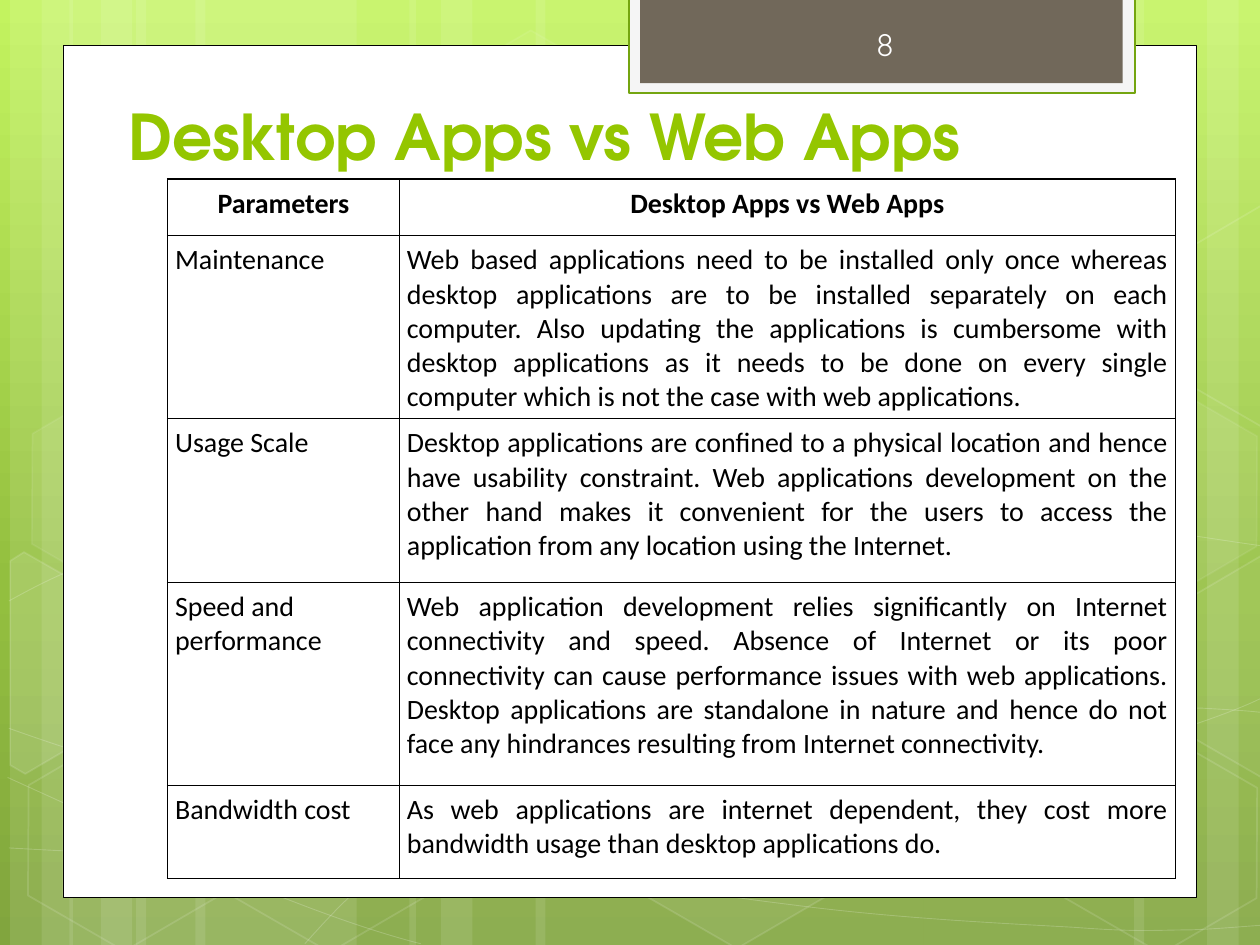
from copy import deepcopy
from dataclasses import dataclass
from math import cos, radians, sin

from lxml.etree import SubElement
from pptx import Presentation
from pptx.dml.color import RGBColor
from pptx.enum.shapes import MSO_SHAPE as Shape
from pptx.enum.text import MSO_ANCHOR as Anchor, PP_ALIGN as Align
from pptx.oxml.ns import qn
from pptx.util import Inches, Pt


@dataclass(frozen=True)
class Theme:
    white: str = "FFFFFF"
    black: str = "000000"
    green: str = "94C600"
    tab_edge: str = "F5F5F5"
    tab_line: str = "74A510"
    tab_fill: str = "71685A"
    backdrop: tuple = ((0, "C3F35F"), (0.62, "93BF3F"), (1, "81A53E"))
    title_font: str = "TeX Gyre Adventor"
    body_font: str = "Calibri"
    number_font: str = "Quicksand"
    title_size: int = 36
    body_size: int = 16
    number_size: int = 18


T = Theme()
TILT = 30

# Vertical light bands: left, width, rotation
BANDS = [(1.08, 1.75, 0), (0.08, 0.5, 0), (0.33, 0.83, 0), (1.55, 1.75, 0),
         (0.55, 0.5, 0), (0.8, 0.83, 0), (7.33, 1.75, 180), (9.58, 0.5, 180),
         (9, 0.83, 180), (4.25, 3.08, 0), (3.25, 0.5, 0), (3.5, 0.83, 0)]

# Curves: segment kinds (C takes three points, L one), then the points
CURVES = [
    ("CCCC", [(0.07, 6.73), (0.61, 6.76), (1.15, 6.79), (1.9, 6.78), (2.65, 6.77),
              (3.58, 6.75), (4.58, 6.65), (5.58, 6.55), (7, 6.36), (7.92, 6.17),
              (8.83, 5.98), (9.77, 5.68), (10.07, 5.51)]),
    ("CCCC", [(0.07, 4.77), (0.36, 4.61), (0.65, 4.46), (1.21, 4.31), (1.78, 4.16),
              (2.59, 3.94), (3.47, 3.87), (4.36, 3.8), (5.44, 3.79), (6.54, 3.87),
              (7.64, 3.95), (9.47, 4.26), (10.07, 4.34)]),
    ("C", [(0.06, 6.17), (1.27, 6.72), (2.47, 7.27), (3.34, 7.49)]),
    ("CCCCCC", [(0.07, 5.78), (0.38, 5.89), (0.7, 6), (1.28, 6.16), (1.86, 6.31),
                (2.73, 6.56), (3.57, 6.73), (4.4, 6.9), (5.45, 7.08), (6.28, 7.18),
                (7.11, 7.29), (8, 7.33), (8.53, 7.36), (9.05, 7.4), (9.19, 7.38),
                (9.45, 7.38), (9.71, 7.37), (9.89, 7.35), (10.07, 7.34)]),
    ("CCCCCCCLCC", [(2.42, 7.49), (2.6, 7.29), (2.78, 7.09), (3.02, 6.91), (3.26, 6.73),
                    (3.6, 6.53), (3.88, 6.39), (4.16, 6.25), (4.33, 6.19), (4.7, 6.09),
                    (5.06, 5.99), (5.73, 5.85), (6.08, 5.78), (6.44, 5.71), (6.49, 5.71),
                    (6.8, 5.69), (7.11, 5.66), (7.6, 5.63), (7.94, 5.62), (8.29, 5.61),
                    (8.86, 5.62), (8.86, 5.62), (9.53, 5.62), (9.71, 5.63), (9.88, 5.64),
                    (9.97, 5.65), (10.06, 5.66), (10.03, 5.65), (10.06, 5.66)]),
]

# Hexagons: left, top, fill opacity, line opacity (percent)
HEXAGONS = [(3.34, 0.36, 4, 8), (4.97, 5.89, 6, 12), (0.11, 5.91, 0, 12),
            (0.14, 3.12, 7, 8), (1.74, 5.92, 0, 12), (7.53, 4.53, 10, 12),
            (8.34, 5.93, 0, 12), (8.34, 3.14, 7, 8)]

# Hexagons cut by the slide edge: fill opacity, centre, corners
CUT_HEXAGONS = [
    (10, (0.36, 5.35), [(0.08, 4.45), (0.19, 4.38), (0.96, 4.82), (0.95, 5.7), (0.2, 6.14), (0.08, 6.07)]),
    (4, (9.85, 5.2), [(9.26, 4.85), (10.01, 4.41), (10.09, 4.46), (10.09, 6.13), (10.02, 6.17), (9.26, 5.73)]),
    (0, (9.85, 2.41), [(9.26, 2.07), (10.01, 1.63), (10.1, 1.68), (10.09, 3.35), (10.02, 3.39), (9.26, 2.95)]),
]

ROWS = [
    ("Parameters", "Desktop Apps vs Web Apps"),
    ("Maintenance", "Web based applications need to be installed only once whereas desktop applications are to be installed separately on each computer. Also updating the applications is cumbersome with desktop applications as it needs to be done on every single computer which is not the case with web applications."),
    ("Usage Scale", "Desktop applications are confined to a physical location and hence have usability constraint. Web applications development on the other hand makes it convenient for the users to access the application from any location using the Internet."),
    ("Speed and performance", "Web application development relies significantly on Internet connectivity and speed. Absence of Internet or its poor connectivity can cause performance issues with web applications. Desktop applications are standalone in nature and hence do not face any hindrances resulting from Internet connectivity."),
    ("Bandwidth cost", "As web applications are internet dependent, they cost more bandwidth usage than desktop applications do."),
]
COL_WIDTHS = (1.84, 6.16)
ROW_HEIGHTS = (0.45, 1.36, 1.3, 1.61, 0.74)


def paint(fill, color, opacity=100):
    if not opacity:
        fill.background()
        return
    fill.solid()
    fill.fore_color.rgb = RGBColor.from_string(color)
    if opacity < 100:
        clr = fill._xPr.find(".//" + qn("a:srgbClr"))
        SubElement(clr, qn("a:alpha"), val=str(opacity * 1000))


def style(sp, fill=T.white, opacity=100, line=T.white, width=0, line_opacity=100):
    sp.shadow.inherit = False
    paint(sp.fill, fill, opacity)
    paint(sp.line.fill, line, line_opacity if width else 0)
    if width:
        sp.line.width = Pt(width)


def add_box(s, box, shape=Shape.RECTANGLE, rotation=0, **look):
    sp = s.shapes.add_shape(shape, *map(Inches, box))
    sp.rotation = rotation
    style(sp, **look)
    return sp


def add_outline(s, points, close, **look):
    pts = [(Inches(x), Inches(y)) for x, y in points]
    builder = s.shapes.build_freeform(*pts[0])
    builder.add_line_segments(pts[1:], close=close)
    sp = builder.convert_to_shape()
    style(sp, **look)
    return sp


def add_curve(s, kinds, points, **look):
    sp = add_outline(s, points, False, opacity=0, **look)
    steps = iter(sp._element.findall(".//" + qn("a:lnTo")))
    for kind in kinds:
        first = next(steps)
        if kind == "C":
            first.tag = qn("a:cubicBezTo")
            for step in (next(steps), next(steps)):
                first.append(step[0])
                step.getparent().remove(step)


def turn_back(point, centre):
    dx, dy = point[0] - centre[0], point[1] - centre[1]
    c, n = cos(radians(TILT)), sin(radians(TILT))
    return centre[0] + c * dx + n * dy, centre[1] - n * dx + c * dy


def write(tf, text, align=Align.LEFT, spacing=None, color=T.black, **font):
    p = tf.paragraphs[0]
    p.alignment, p.line_spacing = align, spacing
    r = p.add_run()
    r.text = text
    r.font.color.rgb = RGBColor.from_string(color)
    for name, value in font.items():
        setattr(r.font, name, value)


def add_text(s, box, text, anchor=Anchor.TOP, **fmt):
    tf = s.shapes.add_textbox(*map(Inches, box)).text_frame
    tf.word_wrap, tf.vertical_anchor = True, anchor
    write(tf, text, **fmt)


def add_backdrop(s, box):
    # Gradient, top to bottom
    fill = s.background.fill
    fill.gradient()
    fill.gradient_angle = 270
    first = s.element.find(".//" + qn("a:gs"))
    first.addnext(deepcopy(first))
    for stop, (position, color) in zip(fill.gradient_stops, T.backdrop):
        stop.position = position
        stop.color.rgb = RGBColor.from_string(color)
    # Bands, curves and hexagons
    left, top, _, height = box
    for x, w, rotation in BANDS:
        add_box(s, (left + x, top, w, height), rotation=rotation, opacity=10)
    for kinds, points in CURVES:
        add_curve(s, kinds, points, width=0.5, line_opacity=20)
    for x, y, opacity, line_opacity in HEXAGONS:
        sp = add_box(s, (left + x, top + y, 1.75, 1.52), Shape.HEXAGON, TILT,
                     opacity=opacity, width=1, line_opacity=line_opacity)
        sp.adjustments[0] = 0.285
    for opacity, centre, corners in CUT_HEXAGONS:
        sp = add_outline(s, [turn_back(c, centre) for c in corners], True,
                         opacity=opacity, width=1, line_opacity=12)
        sp.rotation = TILT


def add_number_tab(s, box, number):
    left, top, width, height = box
    add_box(s, box, fill=T.tab_edge, line=T.tab_line, width=1.25)
    add_box(s, (left + 0.09, top, width - 0.19, height - 0.08), fill=T.tab_fill)
    add_text(s, (left + 0.12, 0, width - 0.19, 0.5), number, align=Align.CENTER, spacing=1.5,
             color=T.white, name=T.number_font, size=Pt(T.number_size))


def add_borders(cell):
    tc_pr = cell._tc.get_or_add_tcPr()
    for side in "LRTB":
        ln = SubElement(tc_pr, qn(f"a:ln{side}"), w=str(Pt(1)))
        SubElement(SubElement(ln, qn("a:solidFill")), qn("a:srgbClr"), val=T.black)


def add_comparison(s, box):
    frame = s.shapes.add_table(len(ROWS), len(COL_WIDTHS), *map(Inches, box))
    table = frame.table
    for col, width in zip(table.columns, COL_WIDTHS):
        col.width = Inches(width)
    for row, height in zip(table.rows, ROW_HEIGHTS):
        row.height = Inches(height)
    frame.height = Inches(box[3])  # the frame leaves room for the row that grows
    for i, texts in enumerate(ROWS):
        for j, text in enumerate(texts):
            cell = table.cell(i, j)
            for side in ("left", "right", "top", "bottom"):
                setattr(cell, f"margin_{side}", Inches(0.06))
            add_borders(cell)
            cell.fill.background()
            align = Align.CENTER if i == 0 else (Align.LEFT, Align.JUSTIFY)[j]
            write(cell.text_frame, text, align, name=T.body_font,
                  size=Pt(T.body_size), bold=i == 0)


def main():
    prs = Presentation()
    prs.slide_width, prs.slide_height = Inches(10), Inches(7.5)
    s = prs.slides.add_slide(prs.slide_layouts[6])
    add_backdrop(s, (0, 0, 10, 7.5))
    # White page
    add_box(s, (0.5, 0.36, 9, 6.76), line=T.black, width=0.5)
    add_number_tab(s, (4.99, -0.02, 4.02, 0.76), "8")
    add_text(s, (0.92, 0.58, 8.67, 0.84), "Desktop Apps vs Web Apps", Anchor.BOTTOM,
             color=T.green, name=T.title_font, size=Pt(T.title_size), bold=True)
    add_comparison(s, (1.33, 1.42, 8, 5.55))
    prs.save("out.pptx")


if __name__ == "__main__":
    main()
